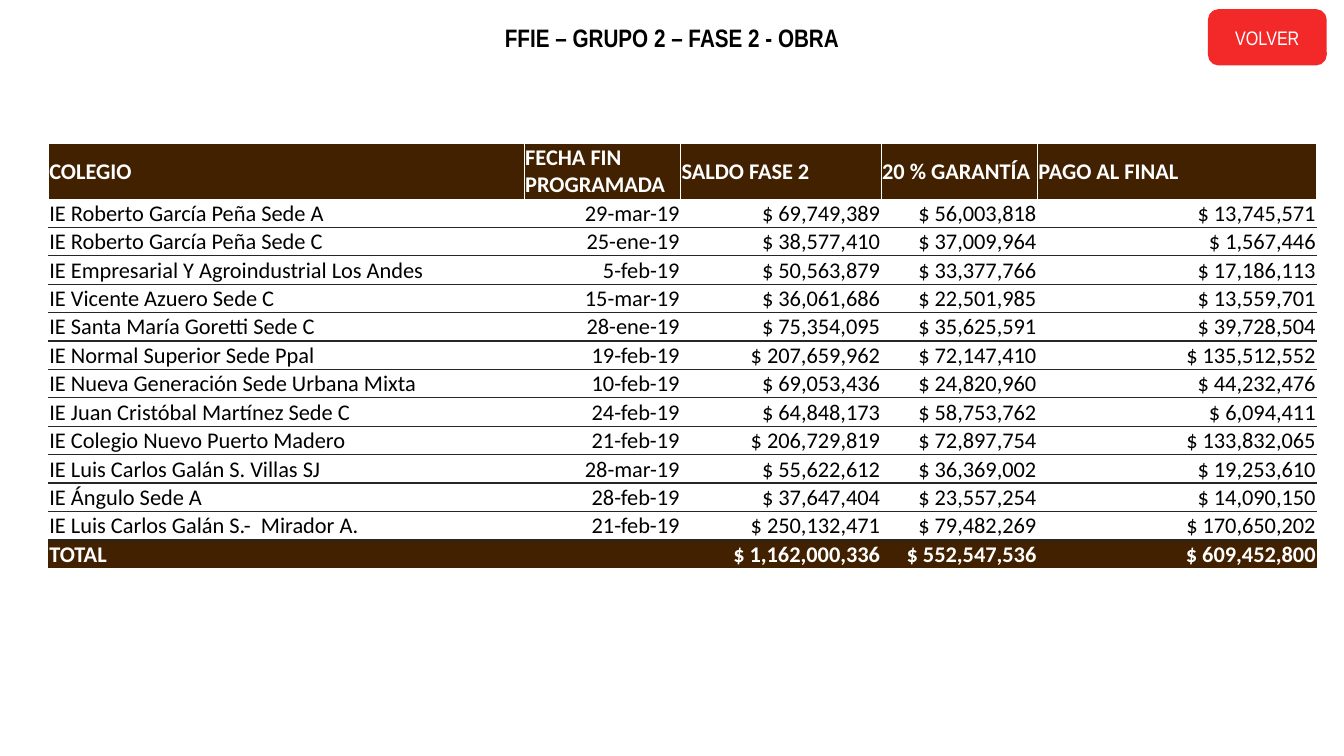
"""Build the FFIE works balance slide with its table of schools."""
from lxml import etree
from pptx import Presentation
from pptx.dml.color import RGBColor
from pptx.enum.shapes import MSO_SHAPE
from pptx.enum.text import MSO_ANCHOR, PP_ALIGN
from pptx.oxml.ns import qn
from pptx.util import Inches, Pt

BLACK = RGBColor(0x00, 0x00, 0x00)
WHITE = RGBColor(0xFF, 0xFF, 0xFF)
BROWN = RGBColor(0x42, 0x21, 0x00)
GRAPHITE = RGBColor(0x26, 0x26, 0x26)
RED = RGBColor(0xF3, 0x29, 0x29)
NO_STYLE = "{2D5ABB26-0587-4C30-8999-92F81FD0307C}"

COLUMN_WIDTHS = [4.72, 1.55, 1.99, 1.55, 2.77]
ROWS = [
    ("COLEGIO", "FECHA FIN PROGRAMADA", "SALDO FASE 2", "20 % GARANTÍA", "PAGO AL FINAL"),
    ("IE Roberto García Peña Sede A", "29-mar-19", "$ 69,749,389", "$ 56,003,818", "$ 13,745,571"),
    ("IE Roberto García Peña Sede C", "25-ene-19", "$ 38,577,410", "$ 37,009,964", "$ 1,567,446"),
    ("IE Empresarial Y Agroindustrial Los Andes", "5-feb-19", "$ 50,563,879", "$ 33,377,766", "$ 17,186,113"),
    ("IE Vicente Azuero Sede C", "15-mar-19", "$ 36,061,686", "$ 22,501,985", "$ 13,559,701"),
    ("IE Santa María Goretti Sede C", "28-ene-19", "$ 75,354,095", "$ 35,625,591", "$ 39,728,504"),
    ("IE Normal Superior Sede Ppal", "19-feb-19", "$ 207,659,962", "$ 72,147,410", "$ 135,512,552"),
    ("IE Nueva Generación Sede Urbana Mixta", "10-feb-19", "$ 69,053,436", "$ 24,820,960", "$ 44,232,476"),
    ("IE Juan Cristóbal Martínez Sede C", "24-feb-19", "$ 64,848,173", "$ 58,753,762", "$ 6,094,411"),
    ("IE Colegio Nuevo Puerto Madero", "21-feb-19", "$ 206,729,819", "$ 72,897,754", "$ 133,832,065"),
    ("IE Luis Carlos Galán S. Villas SJ", "28-mar-19", "$ 55,622,612", "$ 36,369,002", "$ 19,253,610"),
    ("IE Ángulo Sede A", "28-feb-19", "$ 37,647,404", "$ 23,557,254", "$ 14,090,150"),
    ("IE Luis Carlos Galán S.-  Mirador A.", "21-feb-19", "$ 250,132,471", "$ 79,482,269", "$ 170,650,202"),
    ("TOTAL", "", "$ 1,162,000,336", "$ 552,547,536", "$ 609,452,800"),
]


def add_span(para, words, font, size, color, bold=False):
    span = para.add_run()
    span.text = words
    span.font.name = font
    span.font.size = Pt(size)
    span.font.bold = bold
    span.font.color.rgb = color


def add_border(cell, side, color):
    line = etree.SubElement(cell._tc.get_or_add_tcPr(), qn(f"a:ln{side}"), w=str(Pt(1)))
    fill = etree.SubElement(line, qn("a:solidFill"))
    etree.SubElement(fill, qn("a:srgbClr"), val=str(color))


deck = Presentation()
deck.slide_width = Inches(13.33)
deck.slide_height = Inches(7.5)
page = deck.slides.add_slide(deck.slide_layouts[5])

title = page.shapes.title
title.left, title.top = Inches(4.52), Inches(0.17)
title.width, title.height = Inches(4.29), Inches(0.4)
title.text_frame.vertical_anchor = MSO_ANCHOR.TOP
title_para = title.text_frame.paragraphs[0]
title_para.alignment = PP_ALIGN.CENTER
add_span(title_para, "FFIE – GRUPO 2 – FASE 2 - OBRA", "Arial Narrow", 18, BLACK, True)

table = page.shapes.add_table(
    len(ROWS), len(COLUMN_WIDTHS), Inches(0.48), Inches(1.42), Inches(12.58), Inches(4.18)
).table
table._tbl.tblPr.find(qn("a:tableStyleId")).text = NO_STYLE
table.horz_banding = False
for column, width in zip(table.columns, COLUMN_WIDTHS):
    column.width = Inches(width)

last = len(ROWS) - 1
for row_index, values in enumerate(ROWS):
    header = row_index == 0
    accent = row_index in (0, last)
    table.rows[row_index].height = Inches(0.54 if header else 0.28)
    for column_index, value in enumerate(values):
        cell = table.cell(row_index, column_index)
        cell.margin_left = cell.margin_right = cell.margin_top = Inches(0.01)
        cell.margin_bottom = 0
        cell.vertical_anchor = MSO_ANCHOR.MIDDLE if header else MSO_ANCHOR.BOTTOM
        if header:
            for side in "LRT":
                add_border(cell, side, WHITE)
        elif row_index == last:
            add_border(cell, "T", GRAPHITE)
        else:
            add_border(cell, "B", GRAPHITE)
        cell.fill.solid()
        cell.fill.fore_color.rgb = BROWN if accent else WHITE
        para = cell.text_frame.paragraphs[0]
        para.alignment = PP_ALIGN.LEFT if header or column_index == 0 else PP_ALIGN.RIGHT
        if value:
            add_span(para, value, "Calibri", 16, WHITE if accent else BLACK, accent)
        else:
            etree.SubElement(para._p, qn("a:endParaRPr"), sz="1600")

button = page.shapes.add_shape(
    MSO_SHAPE.ROUNDED_RECTANGLE, Inches(12), Inches(0.11), Inches(1.14), Inches(0.52)
)
button.shadow.inherit = False
button.fill.solid()
button.fill.fore_color.rgb = RED
button.line.color.rgb = RED
button.line.width = Pt(2.75)
button.text_frame.vertical_anchor = MSO_ANCHOR.MIDDLE
button_para = button.text_frame.paragraphs[0]
button_para.alignment = PP_ALIGN.CENTER
add_span(button_para, "VOLVER", "Arial Narrow", 14, WHITE)

deck.save("out.pptx")
